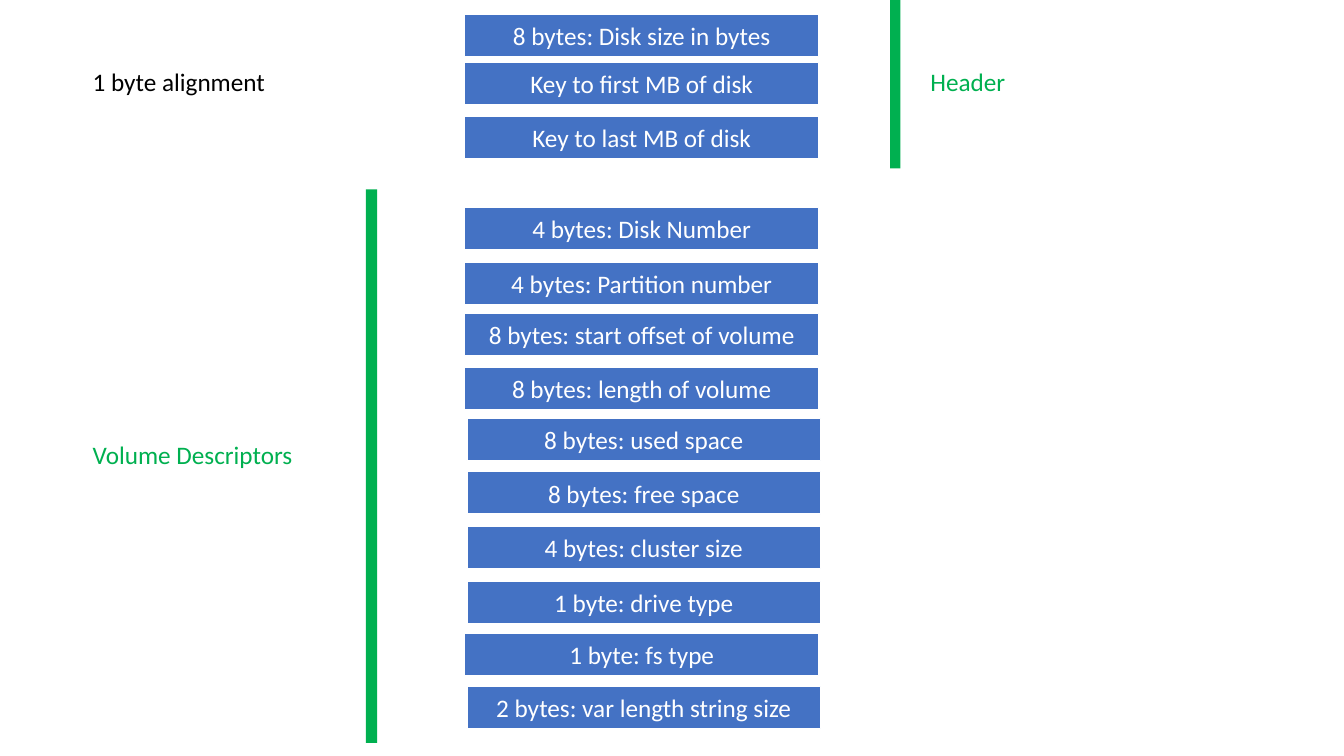
from pptx import Presentation
from pptx.dml.color import RGBColor
from pptx.enum.shapes import MSO_SHAPE
from pptx.enum.text import MSO_ANCHOR, MSO_AUTO_SIZE, PP_ALIGN
from pptx.util import Inches, Pt

BLUE, GREEN, WHITE, BLACK = "4472C4", "00B050", "FFFFFF", "000000"


def paint(color_format, color):
    color_format.rgb = RGBColor.from_string(color)


def write(tf, text, color):
    tf.text = text
    font = tf.paragraphs[0].runs[0].font
    font.name, font.size = "Calibri", Pt(18)
    paint(font.color, color)


prs = Presentation()
prs.slide_width, prs.slide_height = Inches(13.33), Inches(7.5)
s = prs.slides.add_slide(prs.slide_layouts[6])

fields = [
    (4.61, 0.14, "8 bytes: Disk size in bytes"),
    (4.61, 0.62, "Key to first MB of disk"),
    (4.61, 1.15, "Key to last MB of disk"),
    (4.61, 2.06, "4 bytes: Disk Number"),
    (4.61, 2.6, "4 bytes: Partition number"),
    (4.61, 3.11, "8 bytes: start offset of volume"),
    (4.61, 3.64, "8 bytes: length of volume"),
    (4.63, 4.15, "8 bytes: used space"),
    (4.63, 4.68, "8 bytes: free space"),
    (4.63, 5.22, "4 bytes: cluster size"),
    (4.63, 5.77, "1 byte: drive type"),
    (4.61, 6.28, "1 byte: fs type"),
    (4.63, 6.81, "2 bytes: var length string size"),
]
for left, top, text in fields:
    sp = s.shapes.add_shape(MSO_SHAPE.RECTANGLE, Inches(left), Inches(top), Inches(3.51), Inches(0.42))
    sp.shadow.inherit = False
    sp.fill.solid()
    paint(sp.fill.fore_color, BLUE)
    sp.line.width = Pt(1)
    paint(sp.line.color, WHITE)
    tf = sp.text_frame
    tf.word_wrap = True
    tf.vertical_anchor = MSO_ANCHOR.MIDDLE
    write(tf, text, WHITE)
    tf.paragraphs[0].alignment = PP_ALIGN.CENTER

bars = [(8.83, 0, 0.1, 1.67), (3.63, 1.88, 0.11, 5.49)]
for bar in bars:
    sp = s.shapes.add_shape(MSO_SHAPE.RECTANGLE, *map(Inches, bar))
    sp.shadow.inherit = False
    sp.fill.solid()
    paint(sp.fill.fore_color, GREEN)
    sp.line.fill.background()

labels = [
    (9.13, 0.61, 1.2, "Header", GREEN),
    (0.82, 4.31, 2.36, "Volume Descriptors", GREEN),
    (0.82, 0.61, 2.28, "1 byte alignment", BLACK),
]
for left, top, width, text, color in labels:
    tf = s.shapes.add_textbox(Inches(left), Inches(top), Inches(width), Inches(0.4)).text_frame
    tf.word_wrap = True
    tf.auto_size = MSO_AUTO_SIZE.SHAPE_TO_FIT_TEXT
    write(tf, text, color)

prs.save("out.pptx")
